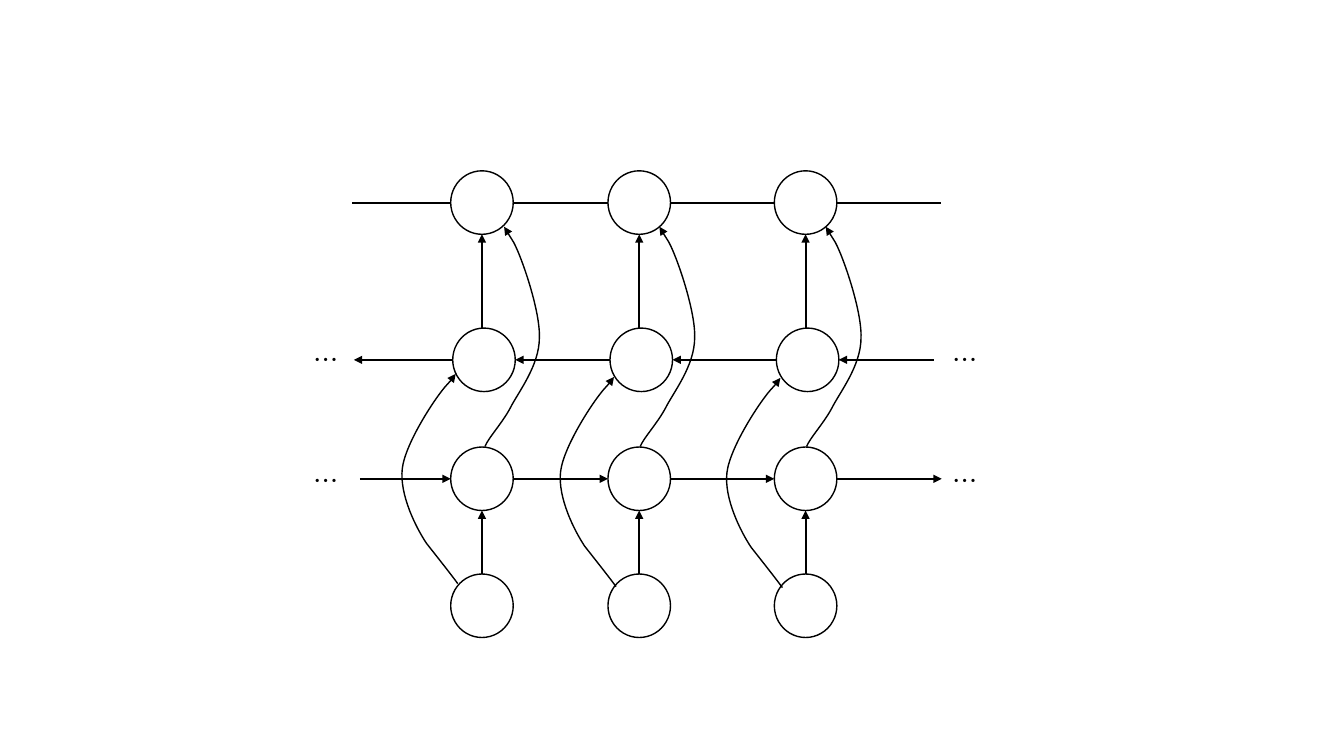
from lxml import etree
from pptx import Presentation
from pptx.dml.color import RGBColor
from pptx.enum.shapes import MSO_CONNECTOR, MSO_SHAPE
from pptx.enum.text import MSO_AUTO_SIZE
from pptx.oxml.ns import qn
from pptx.util import Inches, Pt

BLACK = RGBColor(0x00, 0x00, 0x00)
WHITE = RGBColor(0xFF, 0xFF, 0xFF)
FONT = "Noto Sans CJK SC"

# Grid of the network: column centres and row centres, in inches
COLUMNS = [4.78, 6.34, 7.99]
OUTPUT_Y, BACKWARD_Y, FORWARD_Y, INPUT_Y = 2.01, 3.57, 4.75, 6.01
NODE_WIDTH, NODE_HEIGHT = 0.62, 0.63
RADIUS_X, RADIUS_Y = NODE_WIDTH / 2, NODE_HEIGHT / 2
BACKWARD_SHIFT = 0.02

# Bezier points of the first column's skip arrows, and each column's extra shift
INPUT_TO_BACKWARD = [
    (4.54, 5.79), (4.49, 5.72), (4.34, 5.53), (4.23, 5.39), (4.13, 5.24),
    (3.96, 4.91), (3.99, 4.65), (4.02, 4.39), (4.34, 3.91), (4.44, 3.81),
    (4.53, 3.71), (4.51, 3.69), (4.52, 3.71)]
FORWARD_TO_OUTPUT = [
    (4.81, 4.43), (4.84, 4.35), (4.98, 4.20), (5.06, 4.05), (5.14, 3.89),
    (5.35, 3.63), (5.35, 3.35), (5.36, 3.07), (5.15, 2.48), (5.08, 2.38),
    (5.01, 2.27), (5.01, 2.23), (5.00, 2.25)]
SKIP_ARROWS = [
    (INPUT_TO_BACKWARD, [(0, 0), (0.01, 0.03), (0.01, 0.04)]),
    (FORWARD_TO_OUTPUT, [(0, 0), (-0.02, 0), (-0.02, 0)]),
]


def style_line(shape, width, arrow=True):
    shape.line.color.rgb = BLACK
    shape.line.width = Pt(width)
    if arrow:
        outline = shape.line._get_or_add_ln()
        etree.SubElement(outline, qn("a:tailEnd"), type="triangle")


def add_line(start, end, arrow=True):
    points = [Inches(value) for value in (*start, *end)]
    connector = slide.shapes.add_connector(MSO_CONNECTOR.STRAIGHT, *points)
    style_line(connector, 1.5, arrow)
    etree.SubElement(connector._element.spPr, qn("a:effectLst"))


presentation = Presentation()
presentation.slide_width = Inches(13.33)
presentation.slide_height = Inches(7.5)
slide = presentation.slides.add_slide(presentation.slide_layouts[6])

# Nodes
for row_y in (OUTPUT_Y, BACKWARD_Y, FORWARD_Y, INPUT_Y):
    shift = BACKWARD_SHIFT if row_y == BACKWARD_Y else 0
    for column_x in COLUMNS:
        node = slide.shapes.add_shape(
            MSO_SHAPE.OVAL,
            Inches(column_x + shift - RADIUS_X), Inches(row_y - RADIUS_Y),
            Inches(NODE_WIDTH), Inches(NODE_HEIGHT))
        node.shadow.inherit = False
        node.fill.solid()
        node.fill.fore_color.rgb = WHITE
        style_line(node, 1, arrow=False)

# Vertical arrows
for column_x in COLUMNS:
    for lower_y, upper_y in ((BACKWARD_Y, OUTPUT_Y), (INPUT_Y, FORWARD_Y)):
        add_line((column_x, lower_y - RADIUS_Y), (column_x, upper_y + RADIUS_Y))

# Horizontal links: row, shift, outer ends, arrow, leftward
for row_y, shift, left_end, right_end, arrow, leftward in (
        (OUTPUT_Y, 0, 3.49, 9.33, False, True),
        (BACKWARD_Y, BACKWARD_SHIFT, 3.51, 9.26, True, True),
        (FORWARD_Y, 0, 3.57, 9.34, True, False)):
    starts = [left_end] + [x + shift + RADIUS_X for x in COLUMNS]
    ends = [x + shift - RADIUS_X for x in COLUMNS] + [right_end]
    for start_x, end_x in zip(starts, ends):
        if leftward:
            start_x, end_x = end_x, start_x
        add_line((start_x, row_y), (end_x, row_y), arrow)

# Curved skip arrows
for curve, shifts in SKIP_ARROWS:
    for column_x, (shift_x, shift_y) in zip(COLUMNS, shifts):
        offset_x = column_x - COLUMNS[0] + shift_x
        points = [(Inches(x + offset_x), Inches(y + shift_y)) for x, y in curve]
        builder = slide.shapes.build_freeform(*points[0])
        builder.add_line_segments(points[1:], close=False)
        skip_arrow = builder.convert_to_shape()
        skip_arrow.shadow.inherit = False
        skip_arrow.fill.background()
        style_line(skip_arrow, 1)
        # Every three straight segments become one cubic segment
        segments = skip_arrow._element.xpath(".//a:lnTo")
        for index in range(0, len(segments), 3):
            cubic = etree.Element(qn("a:cubicBezTo"))
            segments[index].addprevious(cubic)
            for segment in segments[index:index + 3]:
                cubic.append(segment[0])
                segment.getparent().remove(segment)

# Ellipses at both ends of the recurrent rows
for left in (3.01, 9.35):
    for top in (3.37, 4.57):
        box = slide.shapes.add_textbox(
            Inches(left), Inches(top), Inches(0.38), Inches(0.4))
        box.text_frame.word_wrap = False
        box.text_frame.auto_size = MSO_AUTO_SIZE.SHAPE_TO_FIT_TEXT
        run = box.text_frame.paragraphs[0].add_run()
        run.text = "…"
        for name, value in {"name": FONT, "size": Pt(18)}.items():
            setattr(run.font, name, value)
        run.font.color.rgb = BLACK
        etree.SubElement(run._r.get_or_add_rPr(), qn("a:ea"), typeface=FONT)

presentation.save("out.pptx")
